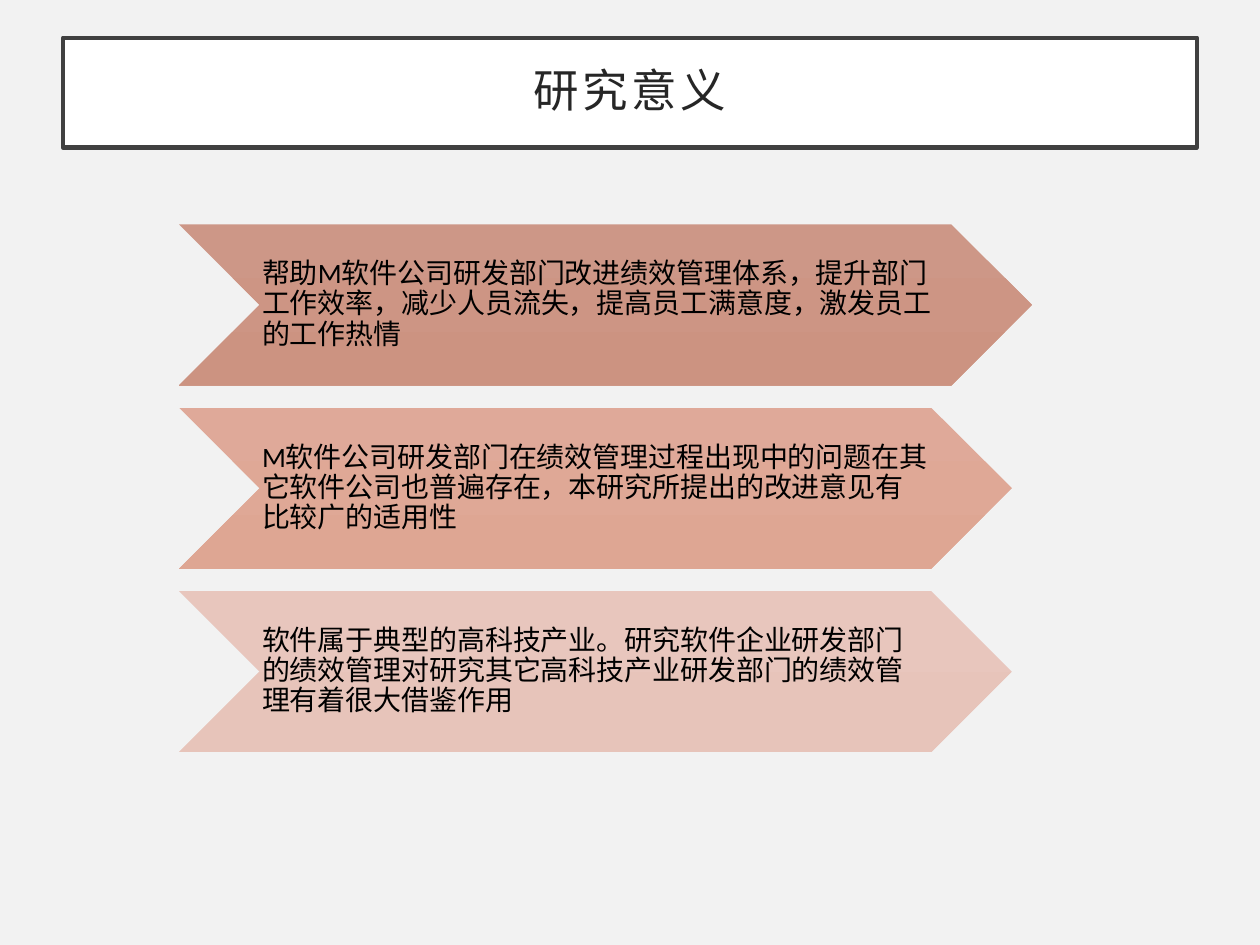
from pptx import Presentation
from pptx.dml.color import RGBColor
from pptx.enum.shapes import MSO_SHAPE
from pptx.enum.text import MSO_ANCHOR, PP_ALIGN
from pptx.oxml.ns import qn
from pptx.util import Inches, Pt

RECT, CHEVRON = MSO_SHAPE.RECTANGLE, MSO_SHAPE.CHEVRON
MIDDLE = MSO_ANCHOR.MIDDLE
LEFT, CENTER = PP_ALIGN.LEFT, PP_ALIGN.CENTER

COLORS = {
    "background": "F2F2F2", "panel": "FFFFFF", "border": "404040",
    "title": "262626", "body": "000000",
}
LATIN, CJK = "Calibri", "Noto Sans CJK SC"
COLS, ROWS = 10, 7.5

# Arrow rows: text, width in columns, gradient from top to bottom
ARROWS = [
    ("帮助M软件公司研发部门改进绩效管理体系，提升部门工作效率，减少人员流失，提高员工满意度，激发员工的工作热情",
     6.77, ("CD9787", "CC9381")),
    ("M软件公司研发部门在绩效管理过程出现中的问题在其它软件公司也普遍存在，本研究所提出的改进意见有比较广的适用性",
     6.61, ("DFA999", "DEA693")),
    ("软件属于典型的高科技产业。研究软件企业研发部门的绩效管理对研究其它高科技产业研发部门的绩效管理有着很大借鉴作用",
     6.61, ("E8C6BD", "E7C4BA")),
]
ARROW_LEFT, ARROW_TOP, ARROW_HEIGHT, ARROW_PITCH = 1.42, 1.78, 1.28, 1.455


def rgb(value):
    return RGBColor.from_string(value)


class Deck:
    """Holds the grid, the text style and the current slide."""

    def __init__(self):
        self.prs = Presentation()
        self.prs.slide_width, self.prs.slide_height = Inches(10), Inches(7.5)
        self.s = self.prs.slides.add_slide(self.prs.slide_layouts[6])
        fill = self.s.background.fill
        fill.solid()
        fill.fore_color.rgb = rgb(COLORS["background"])

    def box(self, x, y, w, h):
        col, row = self.prs.slide_width / COLS, self.prs.slide_height / ROWS
        return [round(v) for v in (x * col, y * row, w * col, h * row)]

    def shape(self, kind, *at):
        sp = self.s.shapes.add_shape(kind, *self.box(*at))
        sp.shadow.inherit = False
        return sp

    def text(self, sp, text, size, color, font, insets, align=LEFT, spacing=None):
        tf = sp.text_frame
        tf.word_wrap = True
        tf.vertical_anchor = MIDDLE
        tf.margin_left, tf.margin_top, tf.margin_right, tf.margin_bottom = map(Inches, insets)
        p = tf.paragraphs[0]
        p.alignment, p.line_spacing = align, 0.9
        r = p.add_run()
        r.text = text
        r.font.size, r.font.name = Pt(size), font
        r.font.color.rgb = rgb(COLORS[color])
        rPr = r.font._element
        rPr.set("lang", "zh-CN")
        if spacing:
            rPr.set("spc", str(spacing * 100))
        ea = rPr.makeelement(qn("a:ea"), {"typeface": CJK})
        rPr.find(qn("a:latin")).addnext(ea)

    def title(self, text, *at):
        sp = self.shape(RECT, *at)
        sp.fill.solid()
        sp.fill.fore_color.rgb = rgb(COLORS["panel"])
        sp.line.color.rgb = rgb(COLORS["border"])
        sp.line.width = Pt(2.5)
        self.text(sp, text, 26, "title", CJK, [0.2] * 4, CENTER, spacing=2)

    def arrow(self, text, gradient, x, y, w, h):
        sp = self.shape(CHEVRON, x, y, w, h)
        sp.line.fill.background()
        sp.fill.gradient()
        sp.fill.gradient_angle = 270
        for stop, color in zip(sp.fill.gradient_stops, gradient):
            stop.color.rgb = rgb(color)
        # The text sits between the notch and the point, each half the height
        tb = self.s.shapes.add_textbox(*self.box(x + h / 2, y, w - h, h))
        self.text(tb, text, 16, "body", LATIN, (0.02, 0.01, 0, 0.01))


def main():
    deck = Deck()

    # Title panel
    deck.title("研究意义", 0.5, 0.3, 9, 0.87)

    # Stacked arrows
    for i, (text, width, gradient) in enumerate(ARROWS):
        deck.arrow(text, gradient, ARROW_LEFT, ARROW_TOP + i * ARROW_PITCH,
                   width, ARROW_HEIGHT)

    deck.prs.save("out.pptx")


if __name__ == "__main__":
    main()
